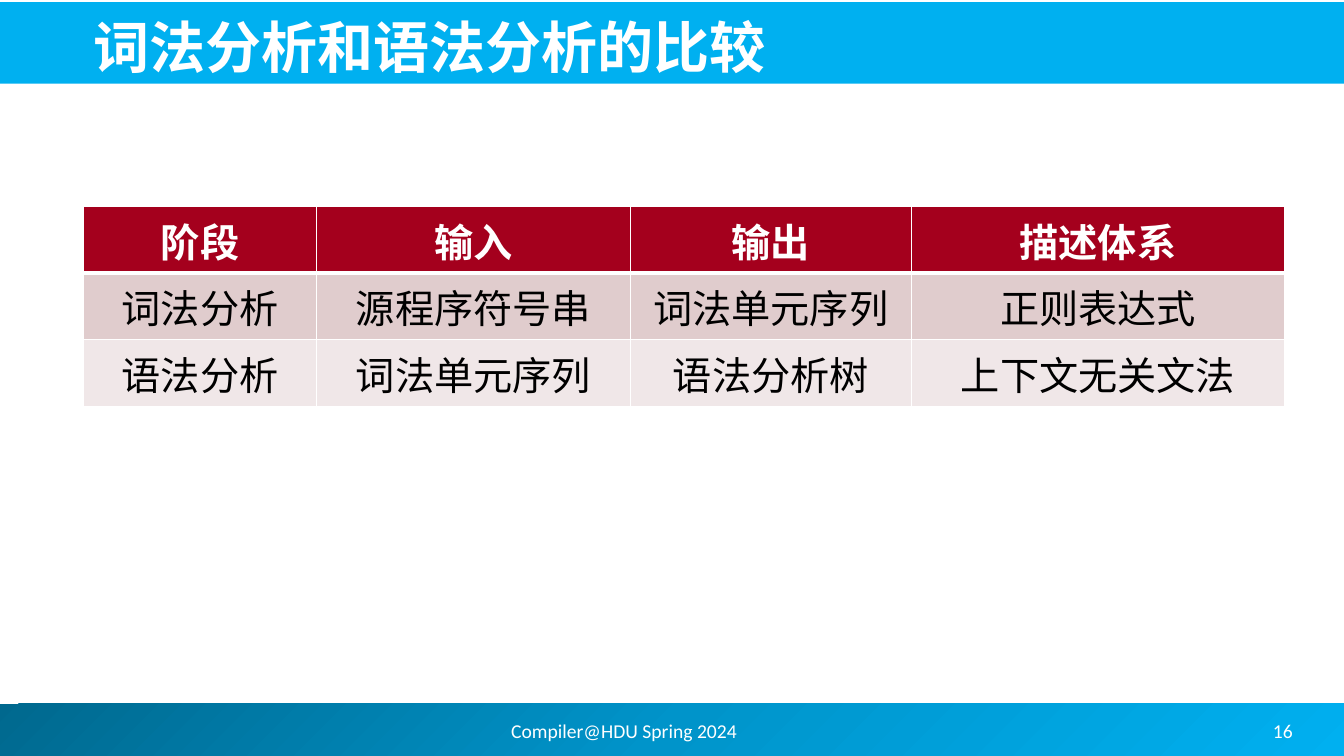
from copy import deepcopy
from dataclasses import dataclass

from lxml.etree import SubElement
from pptx import Presentation
from pptx.dml.color import RGBColor as Rgb
from pptx.enum.shapes import MSO_SHAPE as Shape
from pptx.enum.text import MSO_ANCHOR as Anchor, PP_ALIGN as Align
from pptx.oxml.ns import qn
from pptx.util import Inches, Pt


@dataclass(frozen=True)
class Theme:
    white: str = "FFFFFF"
    black: str = "000000"
    banner: str = "00B0F0"
    footer: tuple = ((0, "00688E"), (0.5, "0094CA"), (1, "00B0F0"))
    header_row: str = "A4001D"
    body_rows: tuple = ("E0CCCD", "F0E7E8")
    title_font: str = "Noto Sans CJK JP"
    table_font: str = "Open Sans"
    footer_font: str = "Calibri"
    title_size: int = 40
    table_size: int = 28
    footer_size: int = 14


THEME = Theme()
WIDTH, HEIGHT = 13.33, 7.5
COLUMN_WIDTHS = (2.31, 3.11, 2.79, 3.7)
ROW_HEIGHT = 0.66
STAGES = (
    ("阶段", "输入", "输出", "描述体系"),
    ("词法分析", "源程序符号串", "词法单元序列", "正则表达式"),
    ("语法分析", "词法单元序列", "语法分析树", "上下文无关文法"),
)


def style(paragraph, font, size, color, align, bold=False):
    paragraph.alignment = align
    paragraph.font.name = font
    paragraph.font.size = Pt(size)
    paragraph.font.bold = bold
    paragraph.font.color.rgb = Rgb.from_string(color)


def add_band(slide, box):
    band = slide.shapes.add_shape(Shape.RECTANGLE, *map(Inches, box))
    band.shadow.inherit = False
    band.line.fill.background()
    return band


def add_label(slide, box, text, font, size, align, anchor=Anchor.MIDDLE, bold=False):
    frame = slide.shapes.add_textbox(*map(Inches, box)).text_frame
    frame.word_wrap = True
    frame.vertical_anchor = anchor
    frame.text = text
    style(frame.paragraphs[0], font, size, THEME.white, align, bold)


def add_banner(slide, box, title):
    left, top, width, height = box
    band = add_band(slide, box)
    band.fill.solid()
    band.fill.fore_color.rgb = Rgb.from_string(THEME.banner)
    title_box = (left + 0.85, top + 0.03, width - 1.3, height - 0.02)
    add_label(slide, title_box, title, THEME.title_font, THEME.title_size,
              Align.LEFT, Anchor.BOTTOM, bold=True)


def add_footer(slide, box, course, number):
    left, top, width, height = box
    band = add_band(slide, box)
    band.fill.gradient()
    band.fill.gradient_angle = 315
    # A third stop between the two default ones
    stops = band._element.spPr.find(".//" + qn("a:gsLst"))
    stops.insert(1, deepcopy(stops[0]))
    for stop, (position, color) in zip(band.fill.gradient_stops, THEME.footer):
        stop.position = position
        stop.color.rgb = Rgb.from_string(color)
    for text, offset, label_width, align in (
        (course, 4.13, 4.22, Align.CENTER),
        (number, 10.08, 2.89, Align.RIGHT),
    ):
        label_box = (left + offset, top + 0.02, label_width, height - 0.02)
        add_label(slide, label_box, text, THEME.footer_font, THEME.footer_size, align)


def set_borders(cell, bottom):
    properties = cell._tc.get_or_add_tcPr()
    for side, points in (("L", 1), ("R", 1), ("T", 1), ("B", bottom)):
        line = SubElement(properties, qn("a:ln" + side), w=str(Pt(points)))
        fill = SubElement(line, qn("a:solidFill"))
        SubElement(fill, qn("a:srgbClr"), val=THEME.white)


def add_comparison(slide, left, top, rows):
    size = (sum(COLUMN_WIDTHS), ROW_HEIGHT * len(rows))
    table = slide.shapes.add_table(len(rows), len(COLUMN_WIDTHS),
                                   *map(Inches, (left, top, *size))).table
    for column, width in zip(table.columns, COLUMN_WIDTHS):
        column.width = Inches(width)
    fills = (THEME.header_row, *THEME.body_rows)
    for r, (texts, fill) in enumerate(zip(rows, fills)):
        is_header = r == 0
        table.rows[r].height = Inches(ROW_HEIGHT)
        for c, text in enumerate(texts):
            cell = table.cell(r, c)
            cell.text = text
            style(cell.text_frame.paragraphs[0], THEME.table_font, THEME.table_size,
                  THEME.white if is_header else THEME.black, Align.CENTER, is_header)
            # Borders come before the fill in the cell properties
            set_borders(cell, bottom=3 if is_header else 1)
            cell.fill.solid()
            cell.fill.fore_color.rgb = Rgb.from_string(fill)


def main():
    deck = Presentation()
    deck.slide_width, deck.slide_height = Inches(WIDTH), Inches(HEIGHT)
    slide = deck.slides.add_slide(deck.slide_layouts[6])
    add_footer(slide, (-0.05, HEIGHT - 0.52, WIDTH + 0.06, 0.52),
               "Compiler@HDU Spring 2024", "16")
    add_banner(slide, (-0.02, 0.02, WIDTH + 0.03, 0.81), "词法分析和语法分析的比较")
    add_comparison(slide, 0.83, 2.05, STAGES)
    deck.save("out.pptx")


if __name__ == "__main__":
    main()
